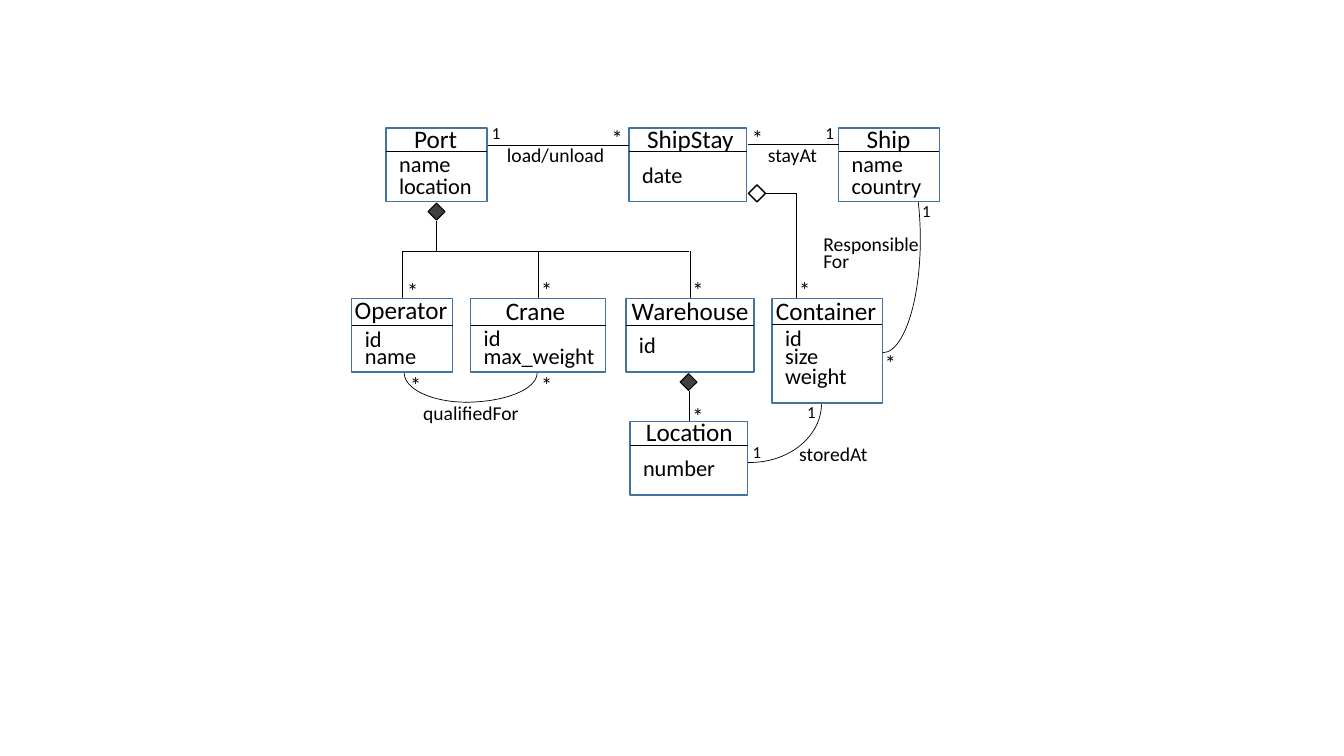
from pptx import Presentation
from pptx.dml.color import RGBColor
from pptx.enum.shapes import MSO_CONNECTOR, MSO_SHAPE
from pptx.enum.text import MSO_ANCHOR, MSO_AUTO_SIZE
from pptx.oxml.ns import qn
from pptx.util import Pt
from lxml.etree import SubElement

BLACK, BLUE, GREY = "000000", "43739E", "404040"
TITLE, FIELD, LABEL, COUNT = 18, 16, 14, 12

# name, box, divider drop, title (dx, dy, width), fields (text, dy, width)
CLASSES = [
    ("Port", (275.8, 91.4, 72, 52.6), 16.6, (13, -7.2, 62.6),
     [("name", 12.2, 51.8), ("location", 28.1, 67)]),
    ("ShipStay", (449.3, 91.4, 84.2, 52.6), 16.6, (5.8, -7.2, 77.8),
     [("date", 20.2, 43.9)]),
    ("Ship", (599, 91.4, 72, 52.6), 16.6, (13, -7.2, 62.6),
     [("name", 12.2, 51.8), ("country", 28.1, 64.8)]),
    ("Operator", (251.3, 213.1, 72, 52.6), 19.4, (-5, -6.5, 83.5),
     [("id", 15.8, 26.6), ("name", 28.1, 51.8)]),
    ("Crane", (336.2, 213.1, 96.5, 52.6), 19.4, (18, -5.8, 66.2),
     [("id", 15.1, 26.6), ("max_weight", 28.1, 94.3)]),
    ("Warehouse", (447.1, 213.1, 91.4, 52.6), 19.4, (-2.9, -5.8, 103.7),
     [("id", 20.2, 26.6)]),
    ("Container", (551.5, 213.1, 78.8, 74.9), 18.7, (-4.3, -5.8, 95.8),
     [("id", 15.1, 26.6), ("size", 28.1, 38.9), ("weight", 41.8, 59)]),
    ("Location", (450, 301, 84.2, 52.6), 17, (4.3, -7.2, 77.8),
     [("number", 20.2, 66.2)]),
]
LABELS = [
    ("load/unload", 355, 98.6, 90),
    ("stayAt", 541.4, 98.6, 56.9),
    ("storedAt", 563.8, 311.8, 68.4),
    ("qualifiedFor", 295.2, 283, 84.2),
    ("Responsible", 581, 162, 87.1),
    ("For", 581, 174.2, 36),
]
ONES = [(344.2, 84.2), (582.5, 84.2), (651.6, 139.7), (569.5, 283.7), (530.6, 311.8)]
STARS = [(429.8, 85), (529.9, 85), (283.7, 194.4), (379.4, 193.7), (487.4, 193.7),
         (563.8, 193.7), (625, 246.2), (487.4, 283.7), (285.8, 261.4), (379.4, 261.4)]
DIAMONDS = [(311.8, 151.2, GREY, 0.75), (491.8, 272.9, GREY, 0.75),
            (540.7, 138.2, None, 1)]
LINES = [
    (348.5, 103.7, 449.3, 103.7),
    (534.2, 103, 599, 103),
    (311.8, 157.7, 311.8, 179.3),
    (287.3, 179.3, 492.1, 179.3),
    (546.5, 138, 568.8, 138),
    (568.8, 138, 568.8, 213.1),
]
# box, flips, start and end angles in degrees
ARCS = [
    ((484.6, 246.2, 102.2, 84.2), ("flipV",), (267.87, 359.42)),
    ((603.4, 90, 54, 162), ("flipV",), (270, 46.1)),
    ((281.5, 245.5, 102.2, 41.8), ("flipV",), (270, 0)),
    ((288.7, 245.5, 89.3, 41.8), ("flipV", "flipH"), (270, 0)),
]


def points(nums):
    return [Pt(num) for num in nums]


def color(code):
    return RGBColor.from_string(code)


def apply(item, attrs):
    for key, value in attrs.items():
        setattr(item, key, value)


def outline(item, code, width):
    item.line.color.rgb = color(code)
    item.line.width = Pt(width)


def add_form(slide, kind, box, code, width, fill=None):
    form = slide.shapes.add_shape(kind, *points(box))
    form.shadow.inherit = False
    outline(form, code, width)
    if fill:
        form.fill.solid()
        form.fill.fore_color.rgb = color(fill)
    else:
        form.fill.background()
    return form


def add_text(slide, text, box, size, wrap=False, anchor=MSO_ANCHOR.TOP):
    frame = slide.shapes.add_textbox(*points(box)).text_frame
    apply(frame, {"word_wrap": wrap, "vertical_anchor": anchor,
                  "auto_size": MSO_AUTO_SIZE.SHAPE_TO_FIT_TEXT})
    run = frame.paragraphs[0].add_run()
    run.text = text
    apply(run.font, {"name": "Calibri", "size": Pt(size)})
    run.font.color.rgb = color(BLACK)


def add_line(slide, ends):
    line = slide.shapes.add_connector(MSO_CONNECTOR.STRAIGHT, *points(ends))
    outline(line, BLACK, 0.5)
    SubElement(line.element.spPr, qn("a:effectLst"))
    return line


def add_drop(slide, box, start):
    """Draw a vertical line from height start to the top middle of a box."""
    mid = (box.left + box.width / 2) / Pt(1)
    line = add_line(slide, (mid, start, mid, box.top / Pt(1)))
    line.end_connect(box, 0)


def add_arc(slide, box, flips, angles):
    arc = add_form(slide, MSO_SHAPE.ARC, box, BLACK, 0.5)
    for index, angle in enumerate(angles):
        arc.adjustments[index] = angle * 0.6
    for flip in flips:
        arc.element.spPr.xfrm.set(flip, "1")


def add_class(slide, name, box, drop, title, fields):
    left, top, width, _ = box
    form = add_form(slide, MSO_SHAPE.RECTANGLE, box, BLUE, 1)
    add_line(slide, (left, top + drop, left + width, top + drop))
    dx, dy, span = title
    add_text(slide, name, (left + dx, top + dy, span, 29.1), TITLE,
             True, MSO_ANCHOR.MIDDLE)
    for text, down, span in fields:
        add_text(slide, text, (left + 2.2, top + down, span, 26.7), FIELD)
    return form


def main():
    deck = Presentation()
    apply(deck, {"slide_width": Pt(960), "slide_height": Pt(540)})
    slide = deck.slides.add_slide(deck.slide_layouts[6])

    boxes = {data[0]: add_class(slide, *data) for data in CLASSES}
    for ends in LINES:
        add_line(slide, ends)
    for name in ("Operator", "Crane", "Warehouse"):
        add_drop(slide, boxes[name], 179.3)
    add_drop(slide, boxes["Location"], 279.4)
    for arc in ARCS:
        add_arc(slide, *arc)
    for mid_x, mid_y, fill, width in DIAMONDS:
        box = (mid_x - 4.3, mid_y - 4.3, 8.6, 8.6)
        form = add_form(slide, MSO_SHAPE.RECTANGLE, box, BLACK, width, fill)
        form.rotation = 45

    for text, left, top, width in LABELS:
        add_text(slide, text, (left, top, width, 24.2), LABEL, True)
    for left, top in ONES:
        add_text(slide, "1", (left, top, 20.9, 21.8), COUNT)
    for left, top in STARS:
        add_text(slide, "*", (left, top, 22.3, 26.7), FIELD)
    deck.save("out.pptx")


if __name__ == "__main__":
    main()
